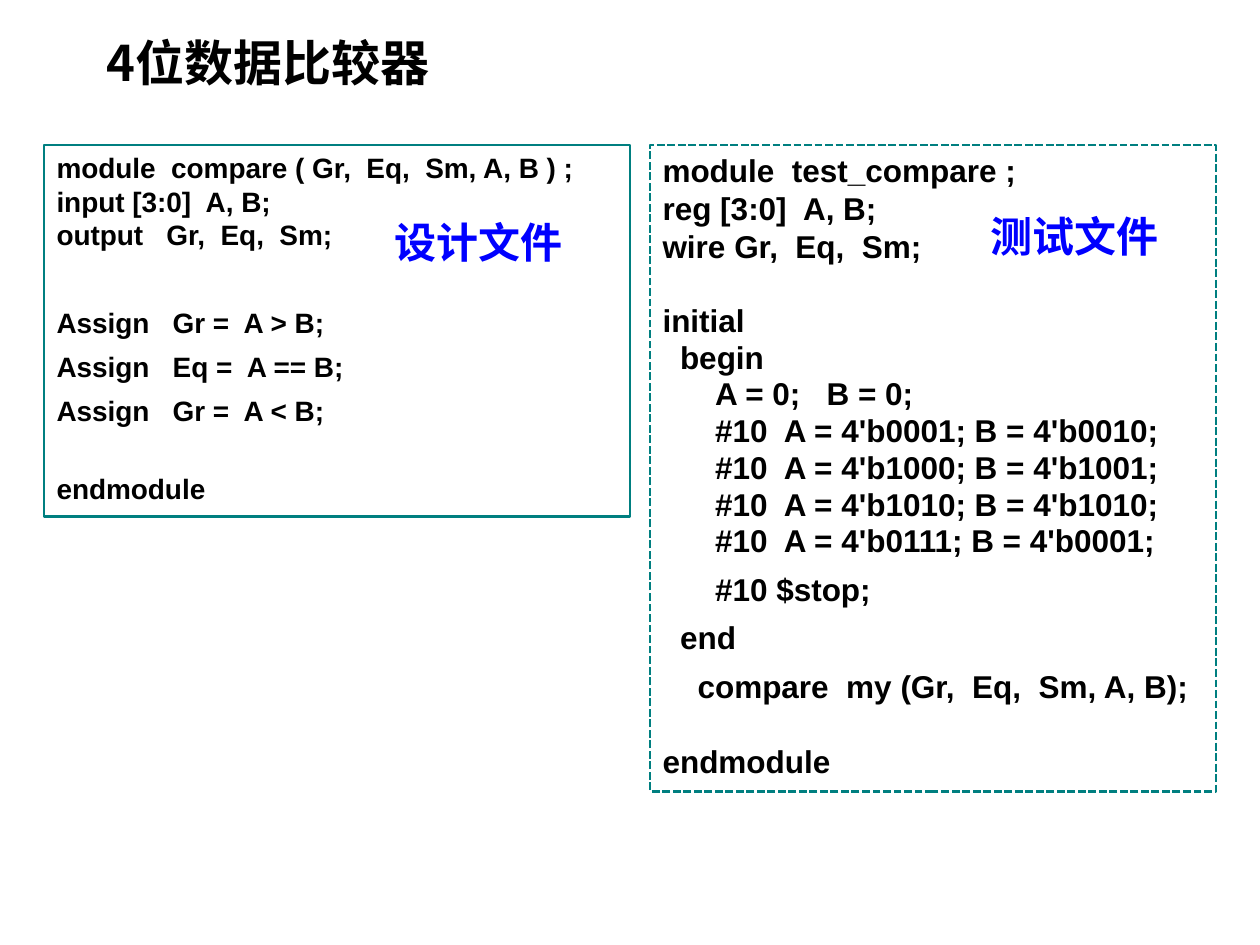
from dataclasses import dataclass
from typing import Optional

from lxml import etree
from pptx import Presentation, util as u
from pptx.dml.color import RGBColor
from pptx.enum import dml, shapes, text
from pptx.oxml.ns import qn

CJK = "Noto Sans CJK SC"
TEAL, BLUE, BLACK = "007F80", "0000FF", "000000"


@dataclass
class Line:
    text: str
    before: float = 0
    indent: float = 0
    pitch: Optional[float] = None


@dataclass
class CodeBox:
    left: float
    width: float
    height: float
    size: float
    pitch: float
    dash: Optional[dml.MSO_LINE]
    lines: list[Line]


@dataclass
class Label:
    text: str
    left: float
    top: float
    width: float
    height: float
    size: float
    color: str


def rgb(value: str) -> RGBColor:
    return RGBColor.from_string(value)


def add_run(p, content: str, size: float, font: str, color: str) -> None:
    r = p.add_run()
    r.text = content
    r.font.size = u.Pt(size)
    r.font.bold = True
    r.font.name = font
    r.font.color.rgb = rgb(color)
    ea = etree.SubElement(r._r.get_or_add_rPr(), qn("a:ea"))
    ea.set("typeface", font)


def draw_code(s, box: CodeBox) -> None:
    sp = s.shapes.add_shape(shapes.MSO_SHAPE.RECTANGLE, u.Pt(box.left), u.Pt(82.8),
                            u.Pt(box.width), u.Pt(box.height))
    sp.shadow.inherit = False
    sp.fill.background()
    sp.line.color.rgb = rgb(TEAL)
    sp.line.width = u.Pt(1.5)
    if box.dash:
        sp.line.dash_style = box.dash
    tf = sp.text_frame
    tf.word_wrap = True
    tf.vertical_anchor = text.MSO_ANCHOR.TOP
    for i, line in enumerate(box.lines):
        p = tf.add_paragraph() if i else tf.paragraphs[0]
        p.alignment = text.PP_ALIGN.LEFT
        p.line_spacing = u.Pt(line.pitch or box.pitch)
        p.space_before = u.Pt(line.before)
        if line.indent:
            p._p.get_or_add_pPr().set("marL", str(u.Pt(line.indent)))
        add_run(p, line.text, box.size, "Arial", BLACK)


def draw_label(s, label: Label) -> None:
    sp = s.shapes.add_textbox(u.Pt(label.left), u.Pt(label.top),
                              u.Pt(label.width), u.Pt(label.height))
    tf = sp.text_frame
    tf.word_wrap = True
    add_run(tf.paragraphs[0], label.text, label.size, CJK, label.color)


design = CodeBox(25.2, 334.8, 212.4, 16, 19.1, None, [
    Line("module  compare ( Gr,  Eq,  Sm, A, B ) ;"),
    Line("input [3:0]  A, B;"),
    Line("output   Gr,  Eq,  Sm;"),
    Line("Assign   Gr =  A > B;", 31),
    Line("Assign   Eq =  A == B;", 6),
    Line("Assign   Gr =  A < B;", 6),
    Line("endmodule", 25.5),
])

stimuli = [("0001", "0010"), ("1000", "1001"), ("1010", "1010"), ("0111", "0001")]
testbench = CodeBox(371.5, 323.3, 369.4, 18, 21.7, dml.MSO_LINE.SQUARE_DOT, [
    Line("module  test_compare ;"),
    Line("reg [3:0]  A, B;"),
    Line("wire Gr,  Eq,  Sm;"),
    Line("initial", 27, 0, 15),
    Line("begin", 6, 10, 15),
    Line("A = 0;   B = 0;", 6, 30, 15),
    *[Line(f"#10  A = 4'b{a}; B = 4'b{b};", 6, 30, 15) for a, b in stimuli],
    Line("#10 $stop;", 6, 30),
    Line("end", 6, 10),
    Line("compare  my (Gr,  Eq,  Sm, A, B);", 6, 20),
    Line("endmodule", 21.5),
])

labels = [
    Label("4位数据比较器", 54, 15.1, 215.3, 41, 28, BLACK),
    Label("设计文件", 218.2, 120.2, 130.3, 36, 24, BLUE),
    Label("测试文件", 558.7, 116.6, 130.3, 36, 24, BLUE),
]

prs = Presentation()
prs.slide_width, prs.slide_height = u.Pt(720), u.Pt(540)
s = prs.slides.add_slide(prs.slide_layouts[6])
for code_box in (design, testbench):
    draw_code(s, code_box)
for item in labels:
    draw_label(s, item)
prs.save("out.pptx")
